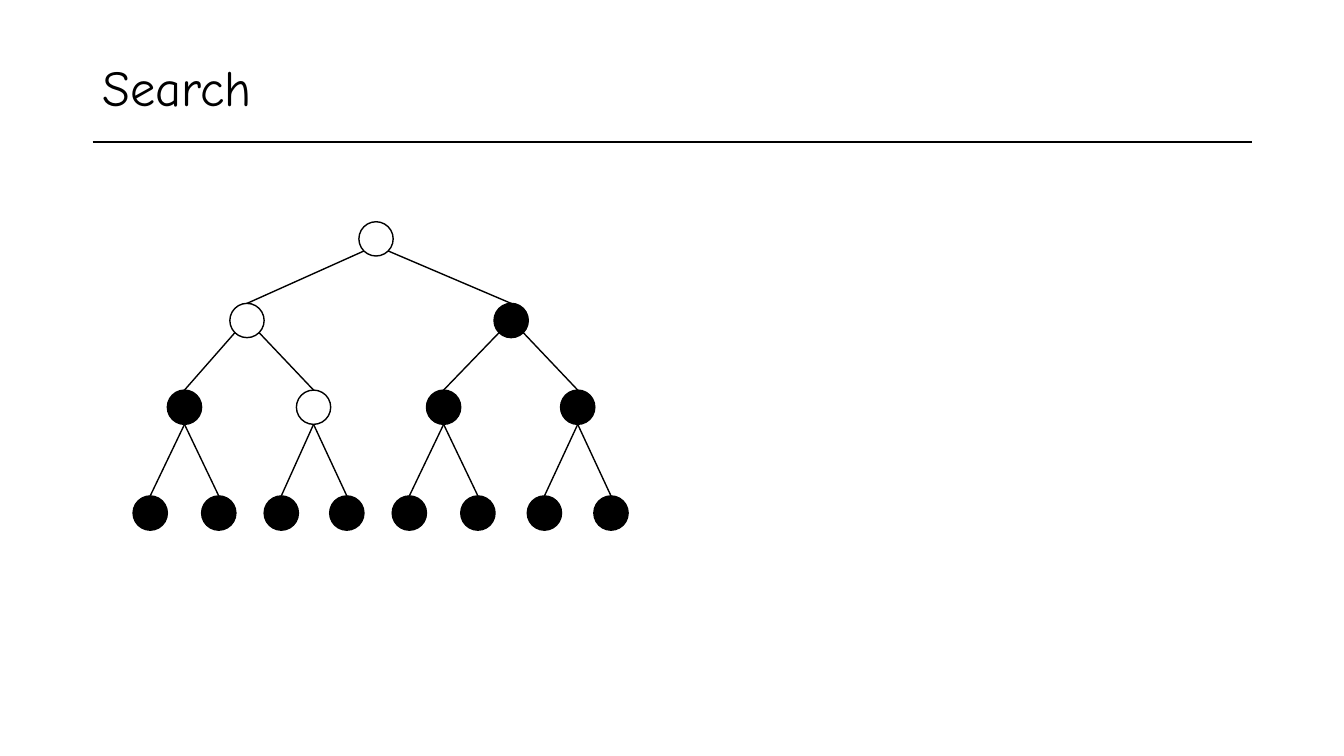
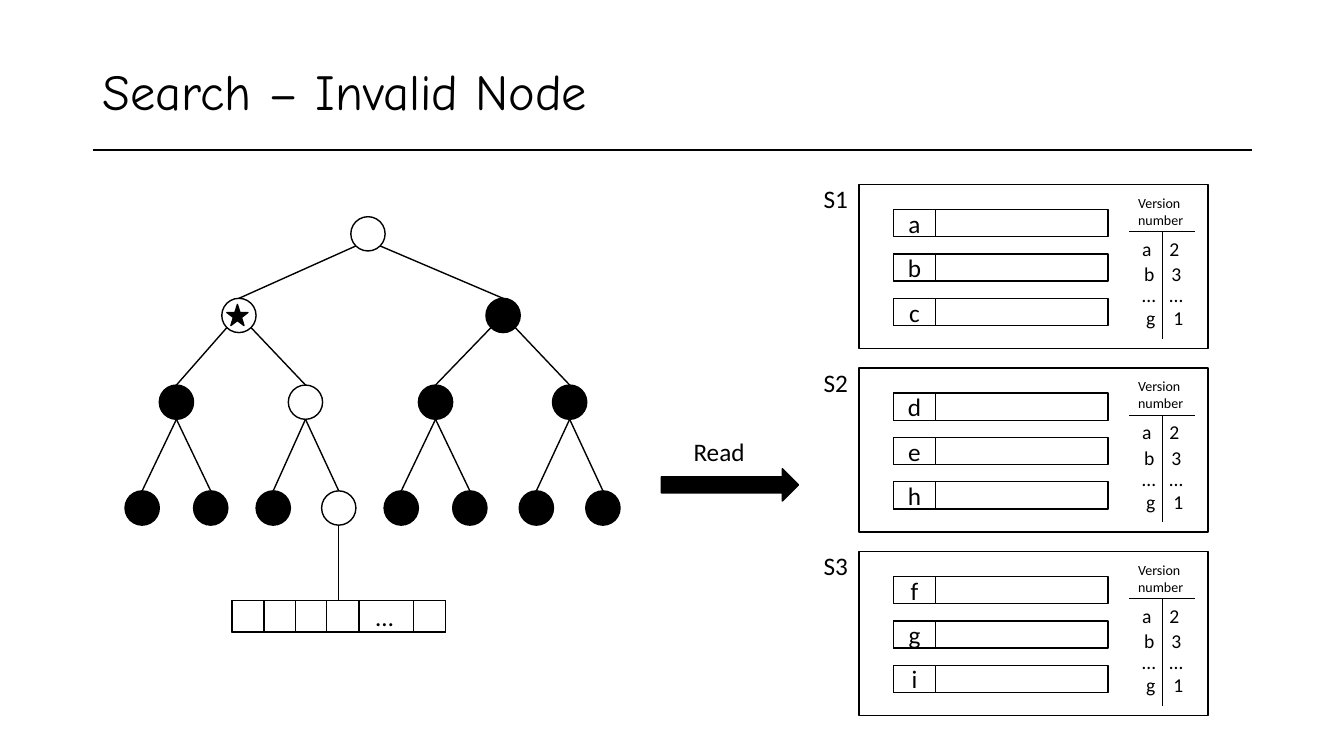
from lxml.etree import SubElement
from pptx import Presentation
from pptx.dml.color import RGBColor
from pptx.enum.shapes import MSO_CONNECTOR, MSO_SHAPE
from pptx.enum.text import MSO_ANCHOR, PP_ALIGN
from pptx.oxml.ns import qn
from pptx.util import Pt

PX = 9144  # EMU per px, 100 px to the inch
BLACK = RGBColor(0x00, 0x00, 0x00)
WHITE = RGBColor(0xFF, 0xFF, 0xFF)
TITLE_FONT = "Comic Neue"
BODY_FONT = "Calibri"

# Tree: top of each level and left of its nodes, numbered level by level
NODE_SIZE = 34
RADIUS = NODE_SIZE // 2
DIAGONAL = 12  # centre to the 45° point of the circle, along each axis
LEVELS = [
    (220, [356]),
    (301, [228, 490]),
    (387, [166, 294, 423, 556]),
    (492, [132, 200, 262, 327, 389, 457, 523, 589]),
]
FIRST_LEAF = 7

SERVERS = [("S1", "abc"), ("S2", "deh"), ("S3", "fgi")]
# Key, version, left of the key, top within the panel
VERSIONS = [("a", "2", 1123, 47), ("b", "3", 1125, 72),
            ("…", "…", 1123, 93), ("g", "1", 1127, 116)]


def emu(*lengths):
    return [n * PX for n in lengths]


def write(tf, text, size=18, font=BODY_FONT, align=PP_ALIGN.LEFT,
          anchor=MSO_ANCHOR.TOP, spacing=None):
    tf.word_wrap = True
    tf.vertical_anchor = anchor
    p = tf.paragraphs[0]
    p.alignment = align
    if spacing:
        p.line_spacing = spacing
    r = p.add_run()
    r.text = text
    r.font.size = Pt(size)
    r.font.name = font
    r.font.color.rgb = BLACK


def label(shapes, x, y, w, h, text, **fmt):
    write(shapes.add_textbox(*emu(x, y, w, h)).text_frame, text, **fmt)


def shape(shapes, kind, x, y, w, h, fill=WHITE):
    sp = shapes.add_shape(kind, *emu(x, y, w, h))
    sp.shadow.inherit = False
    sp.fill.solid()
    sp.fill.fore_color.rgb = fill
    sp.line.color.rgb = BLACK
    sp.line.width = Pt(1)
    return sp


def box(shapes, x, y, w, h):
    return shape(shapes, MSO_SHAPE.RECTANGLE, x, y, w, h)


def line(shapes, x1, y1, x2, y2, width=1.0):
    cxn = shapes.add_connector(MSO_CONNECTOR.STRAIGHT, *emu(x1, y1, x2, y2))
    cxn.line.color.rgb = BLACK
    cxn.line.width = Pt(width)
    SubElement(cxn._element.spPr, qn("a:effectLst"))
    return cxn


def titled_slide(prs, title, rule_y):
    s = prs.slides.add_slide(prs.slide_layouts[6])
    label(s.shapes, 92, 40, 1150, rule_y - 43, title, size=36,
          font=TITLE_FONT, anchor=MSO_ANCHOR.MIDDLE, spacing=0.9)
    line(s.shapes, 92, rule_y, 1242, rule_y, 1.5)
    return s


def tree(shapes, open_nodes, dx=0, dy=0):
    nodes = [(x + dx, y + dy) for y, lefts in LEVELS for x in lefts]
    for i, (x, y) in enumerate(nodes):
        fill = WHITE if i in open_nodes else BLACK
        node = shape(shapes, MSO_SHAPE.OVAL, x, y, NODE_SIZE, NODE_SIZE, fill)
        if i == 0:
            continue
        # Edge from the parent: its bottom for leaves, else its lower left or right
        px, py = (n + RADIUS for n in nodes[(i - 1) // 2])
        if i >= FIRST_LEAF:
            py += RADIUS
        else:
            px += -DIAGONAL if i % 2 else DIAGONAL
            py += DIAGONAL
        line(shapes, px, py, x + RADIUS, y).end_connect(node, 0)


def leaf_array(shapes, x, y):
    array = box(shapes, x, y, 212, 31)
    for dx in (0, 32, 63, 94, 180):
        box(shapes, x + dx, y, 32, 31)
    label(shapes, x + 133, y - 4, 42, 40, "…")
    return array


def server_panel(shapes, top, name, keys):
    box(shapes, 852, top, 346, 163)
    label(shapes, 807, top - 6, 50, 40, name)
    # Stored entries
    for i, key in enumerate(keys):
        y = top + 25 + 44 * i
        box(shapes, 886, y, 213, 27)
        cell = box(shapes, 886, y, 42, 27)
        write(cell.text_frame, key, align=PP_ALIGN.CENTER,
              anchor=MSO_ANCHOR.MIDDLE)
    # Version numbers
    line(shapes, 1120, top + 47, 1185, top + 47, 0.5)
    line(shapes, 1153, top + 47, 1153, top + 153, 0.5)
    label(shapes, 1119, top + 5, 102, 44, "Version number", size=10)
    for key, version, x, dy in VERSIONS:
        for text, left in ((key, x), (version, x + 27)):
            label(shapes, left, top + dy, 40, 34, text, size=14)


def search_slide(prs):
    s = titled_slide(prs, "Search", 141)
    tree(s.shapes, {0, 1, 4})


def invalid_node_slide(prs):
    s = titled_slide(prs, "Search – Invalid Node", 149)
    shapes = s.shapes
    tree(shapes, {0, 1, 4, 10}, dx=-8, dy=-5)
    shape(shapes, MSO_SHAPE.STAR_5_POINT, 225, 302, 21, 21, BLACK)
    # Contents of the open leaf
    array = leaf_array(shapes, 230, 596)
    line(shapes, 336, 521, 336, 596, 0.5).end_connect(array, 0)
    # Servers
    for i, (name, keys) in enumerate(SERVERS):
        group = shapes.add_group_shape()
        server_panel(group.shapes, 183 + 182 * i, name, keys)
    # Read arrow
    shape(shapes, MSO_SHAPE.RIGHT_ARROW, 656, 465, 136, 32, BLACK)
    label(shapes, 678, 428, 75, 40, "Read")


def main():
    prs = Presentation()
    prs.slide_width, prs.slide_height = emu(1333, 750)
    search_slide(prs)
    invalid_node_slide(prs)
    prs.save("out.pptx")


if __name__ == "__main__":
    main()
